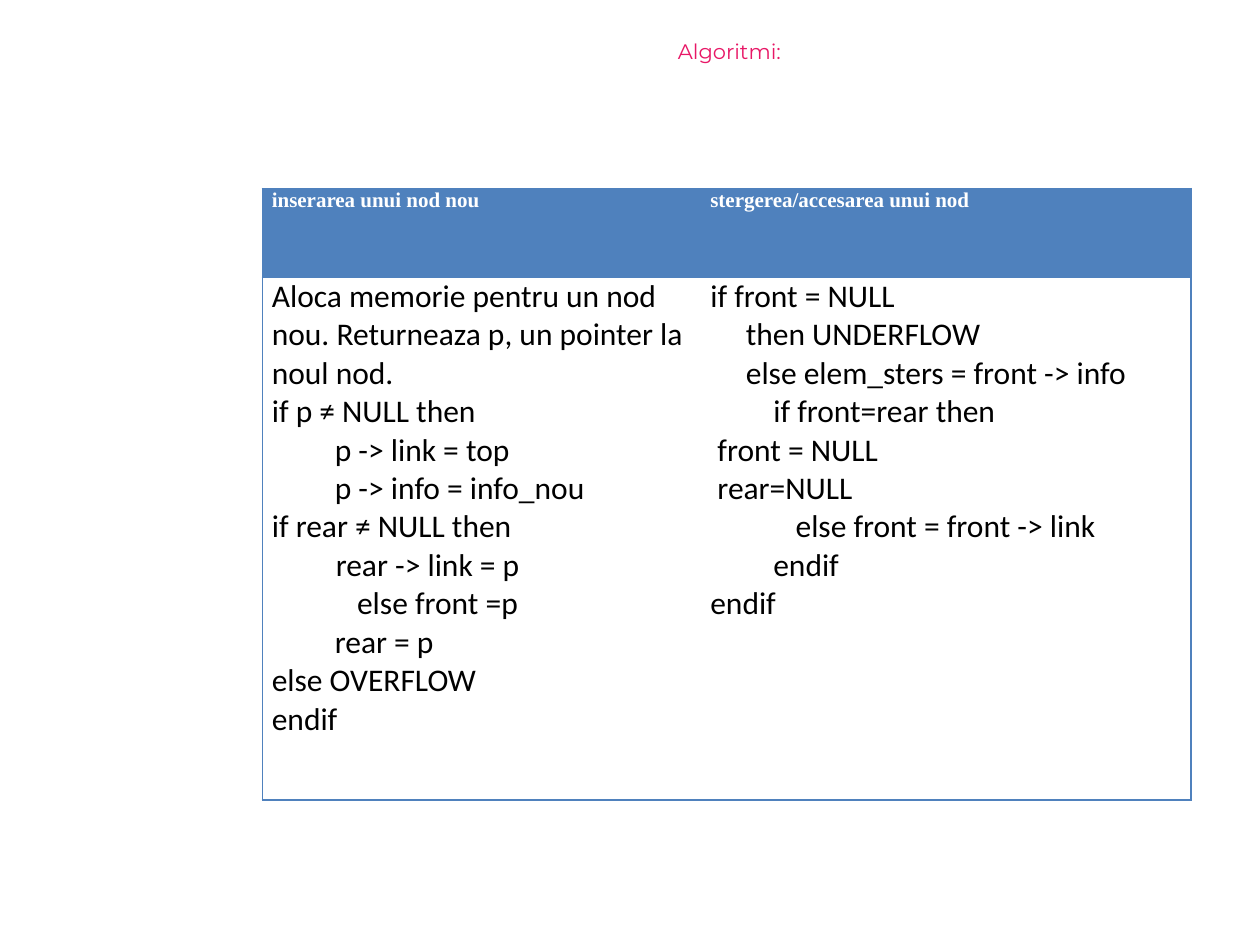
from dataclasses import dataclass

from lxml.etree import SubElement
from pptx import Presentation
from pptx.dml.color import RGBColor
from pptx.enum.text import MSO_ANCHOR as Anchor, PP_ALIGN as Align
from pptx.oxml.ns import qn
from pptx.util import Cm, Pt

BLUE = "4F81BD"
WHITE = "FFFFFF"
BLACK = "000000"
PINK = "E81766"


@dataclass
class Style:
    font: str
    size: float
    color: str
    bold: bool = False
    align: Align = Align.LEFT


@dataclass
class Column:
    width: float
    header: str
    lines: list[str]


TITLE = Style("Montserrat", 12, PINK, align=Align.CENTER)
HEADER = Style("Times New Roman", 12, WHITE, True, Align.JUSTIFY)
CODE = Style("Calibri", 18, BLACK)

COLUMNS = [
    Column(8.84, "inserarea unui nod nou", [
        "Aloca memorie pentru un nod nou. Returneaza p, un pointer la noul nod.",
        "if p ≠ NULL then",
        "\tp -> link = top",
        "\tp -> info = info_nou",
        "if rear ≠ NULL then",
        "         rear -> link = p",
        "            else front =p",
        "\trear = p",
        "else OVERFLOW",
        "endif",
    ]),
    Column(9.88, "stergerea/accesarea unui nod", [
        "if front = NULL",
        "     then UNDERFLOW",
        "     else elem_sters = front -> info",
        "\tif front=rear then",
        " front = NULL",
        " rear=NULL",
        "            else front = front -> link",
        "\tendif",
        "endif",
    ]),
]
ROW_HEIGHTS = [1.79, 10.54]


def rgb(color: str) -> RGBColor:
    return RGBColor.from_string(color)


def write(tf, text: str, style: Style) -> None:
    tf.text = text
    for p in tf.paragraphs:
        p.alignment = style.align
        for r in p.runs:
            r.font.name = style.font
            r.font.size = Pt(style.size)
            r.font.bold = style.bold
            r.font.color.rgb = rgb(style.color)


def set_borders(cell, visible: str) -> None:
    tc_pr = cell._tc.get_or_add_tcPr()
    for side in "LRTB":
        ln = SubElement(tc_pr, qn(f"a:ln{side}"), w=str(Pt(1)))
        if side in visible:
            fill = SubElement(ln, qn("a:solidFill"))
            SubElement(fill, qn("a:srgbClr"), val=BLUE)
        else:
            SubElement(ln, qn("a:noFill"))


def fill_cell(cell, text: str, style: Style, fill: str, borders: str) -> None:
    cell.margin_left = cell.margin_right = Cm(0.19)
    cell.margin_top = cell.margin_bottom = 0
    cell.vertical_anchor = Anchor.TOP
    set_borders(cell, borders)
    cell.fill.solid()
    cell.fill.fore_color.rgb = rgb(fill)
    write(cell.text_frame, text, style)


def add_title(s, text: str) -> None:
    sp = s.shapes.title
    sp.left, sp.top, sp.width, sp.height = Cm(10.16), Cm(0.64), Cm(9.09), Cm(2.97)
    tf = sp.text_frame
    tf.vertical_anchor = Anchor.TOP
    write(tf, text, TITLE)


def add_algorithms(s, columns: list[Column]) -> None:
    width = sum(c.width for c in columns)
    table = s.shapes.add_table(len(ROW_HEIGHTS), len(columns), Cm(5.29), Cm(3.8),
                               Cm(width), Cm(sum(ROW_HEIGHTS))).table
    table.horz_banding = False
    for row, height in zip(table.rows, ROW_HEIGHTS):
        row.height = Cm(height)
    for i, column in enumerate(columns):
        table.columns[i].width = Cm(column.width)
        borders = "TB" + ("L" if i == 0 else "") + ("R" if i == len(columns) - 1 else "")
        fill_cell(table.cell(0, i), column.header, HEADER, BLUE, borders)
        fill_cell(table.cell(1, i), "\n".join(column.lines), CODE, WHITE, borders)


def main() -> None:
    prs = Presentation()
    prs.slide_width, prs.slide_height = Cm(25.4), Cm(19.05)
    s = prs.slides.add_slide(prs.slide_layouts[5])
    add_title(s, "Algoritmi:")
    add_algorithms(s, COLUMNS)
    prs.save("out.pptx")


if __name__ == "__main__":
    main()
